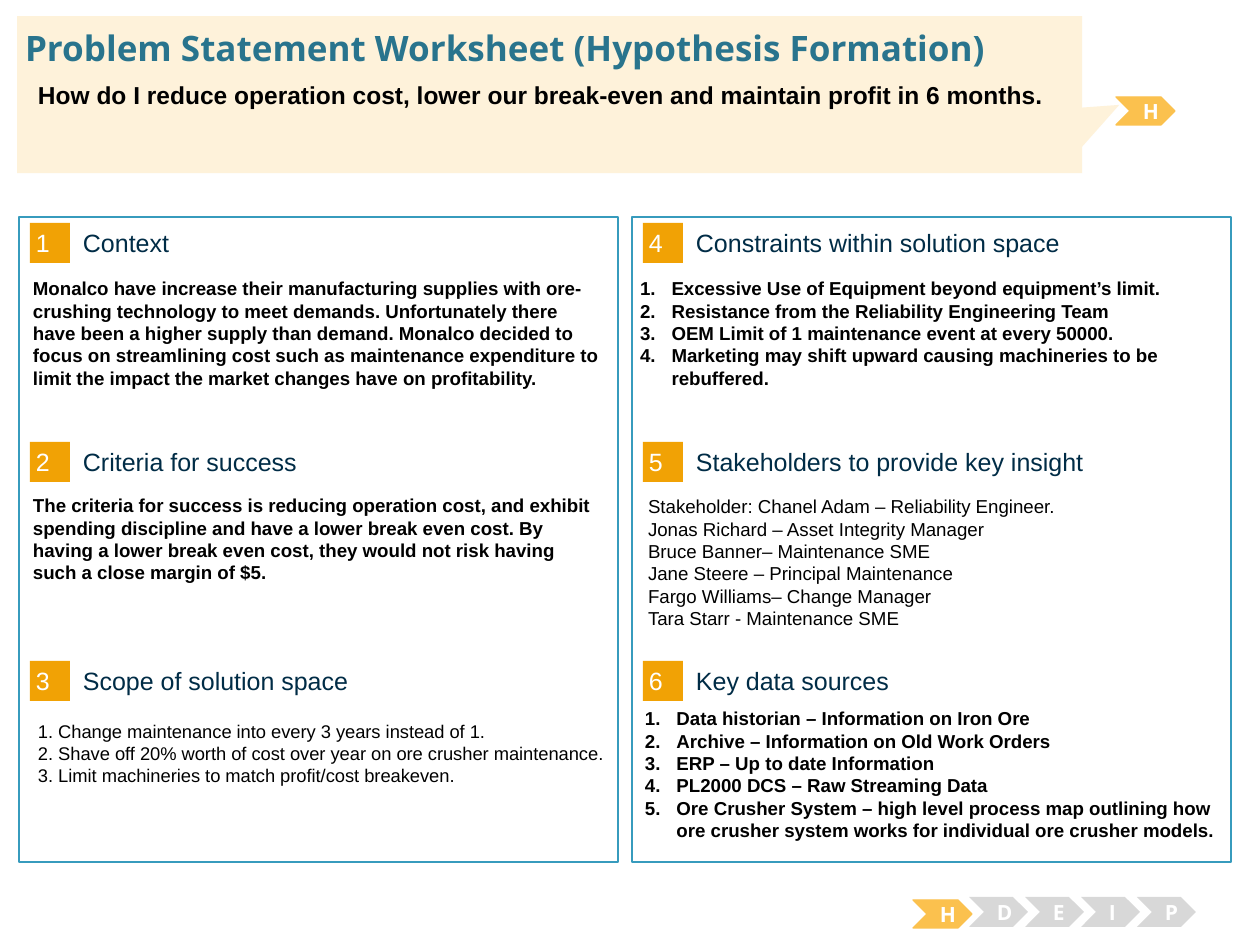
from dataclasses import dataclass

from lxml import etree
from pptx import Presentation
from pptx.dml.color import RGBColor
from pptx.enum.shapes import MSO_SHAPE
from pptx.enum.text import MSO_ANCHOR, MSO_AUTO_SIZE, PP_ALIGN
from pptx.oxml.ns import qn
from pptx.util import Emu, Pt

PX_PER_INCH = 126


def px(length):
    """Turn whole pixels into EMU."""
    return Emu(round(length * 914400 / PX_PER_INCH))


@dataclass(frozen=True)
class Theme:
    """Colours, fonts and type sizes of the worksheet."""
    white: str = "FFFFFF"
    black: str = "000000"
    panel_line: str = "379BBD"
    badge: str = "F1A205"
    heading: str = "002C46"
    title: str = "29748D"
    callout: str = "FEF2DA"
    active: str = "FBC14E"
    inactive: str = "D8D8D8"
    body_font: str = "Arial"
    title_font: str = "Open Sans"
    title_size: float = 20
    heading_size: float = 14.3
    question_size: float = 14
    step_size: float = 12
    body_size: float = 10.7
    scope_size: float = 10.5


class Worksheet:
    """Draws the elements of the worksheet on one slide."""

    def __init__(self, slide, theme):
        """Keep the slide and its style."""
        self.slide = slide
        self.theme = theme

    def set_lines(self, shape, lines, size, color, bold=False, font=None,
                  inset=(13, 6), anchor=MSO_ANCHOR.TOP, align=PP_ALIGN.LEFT,
                  numbered=False):
        """Fill a shape with one styled paragraph per line."""
        frame = shape.text_frame
        frame.word_wrap = True
        frame.auto_size = MSO_AUTO_SIZE.NONE
        frame.vertical_anchor = anchor
        frame.margin_left = frame.margin_right = px(inset[0])
        frame.margin_top = frame.margin_bottom = px(inset[1])
        for index, line in enumerate(lines):
            paragraph = frame.add_paragraph() if index else frame.paragraphs[0]
            paragraph.alignment = align
            run = paragraph.add_run()
            run.text = line
            run.font.size = Pt(size)
            run.font.bold = bold
            run.font.name = font or self.theme.body_font
            run.font.color.rgb = RGBColor.from_string(color)
            if numbered:
                self.number(paragraph)

    def number(self, paragraph):
        """Give a paragraph automatic numbering with a hanging indent."""
        props = paragraph._p.get_or_add_pPr()
        props.set("marL", "228600")
        props.set("indent", "-228600")
        etree.SubElement(props, qn("a:buFont"), typeface="+mj-lt")
        etree.SubElement(props, qn("a:buAutoNum"), type="arabicPeriod")

    def shape(self, kind, box, fill, line=None, width=0.75):
        """Add a flat preset shape."""
        shape = self.slide.shapes.add_shape(kind, *map(px, box))
        shape.shadow.inherit = False
        shape.fill.solid()
        shape.fill.fore_color.rgb = RGBColor.from_string(fill)
        if line:
            shape.line.color.rgb = RGBColor.from_string(line)
            shape.line.width = Pt(width)
        else:
            shape.line.fill.background()
        return shape

    def text(self, box, lines, size, color, **style):
        """Add a text box."""
        frame = self.slide.shapes.add_textbox(*map(px, box))
        self.set_lines(frame, lines, size, color, **style)

    def title(self, box, wording):
        """Place the title placeholder in front of what is drawn so far."""
        title = self.slide.shapes.title
        title.left, title.top, title.width, title.height = map(px, box)
        self.set_lines(title, [wording], self.theme.title_size, self.theme.title,
                       bold=True, font=self.theme.title_font, inset=(0, 0))
        title.element.getparent().append(title.element)

    def panel(self, box):
        """Add an outlined column panel."""
        self.shape(MSO_SHAPE.RECTANGLE, box, self.theme.white,
                   self.theme.panel_line, 1.5)

    def heading(self, left, top, number, wording):
        """Add a numbered badge with its section heading."""
        badge = self.shape(MSO_SHAPE.RECTANGLE, (left, top, 40, 40), self.theme.badge)
        self.set_lines(badge, [str(number)], self.theme.heading_size, self.theme.white,
                       inset=(6, 6), anchor=MSO_ANCHOR.MIDDLE)
        self.text((left + 53, top + 4, 495, 31), [wording], self.theme.heading_size,
                  self.theme.heading, inset=(0, 0), anchor=MSO_ANCHOR.MIDDLE)

    def step(self, left, top, letter, active=False):
        """Add a process chevron, highlighted when it is the active step."""
        fill = self.theme.active if active else self.theme.inactive
        chevron = self.shape(MSO_SHAPE.CHEVRON, (left, top, 59, 28 if active else 30),
                             fill, fill if active else None)
        self.set_lines(chevron, [letter], self.theme.step_size, self.theme.white,
                       bold=True, font=self.theme.title_font,
                       anchor=MSO_ANCHOR.MIDDLE, align=PP_ALIGN.CENTER)


THEME = Theme()
BOLD = {"bold": True}
NUMBERED = {"bold": True, "numbered": True}
COLUMN_STEP, ROW_STEP = 613, 219

# Heading, body left, top and height, type size, style, lines
SECTIONS = [
    ("Context", 20, 271, 171, THEME.body_size, BOLD, [
        "Monalco have increase their manufacturing supplies with ore-crushing "
        "technology to meet demands. Unfortunately there have been a higher supply "
        "than demand. Monalco decided to focus on streamlining cost such as "
        "maintenance expenditure to limit the impact the market changes have on "
        "profitability."]),
    ("Criteria for success", 20, 488, 171, THEME.body_size, BOLD, [
        "The criteria for success is reducing operation cost, and exhibit spending "
        "discipline and have a lower break even cost. By having a lower break even "
        "cost, they would not risk having such a close margin of $5."]),
    ("Scope of solution space", 25, 714, 103, THEME.scope_size, {}, [
        "1. Change maintenance into every 3 years instead of 1.",
        "2. Shave off 20% worth of cost over year on ore crusher maintenance.",
        "3. Limit machineries to match profit/cost breakeven."]),
    ("Constraints within solution space", 627, 271, 149, THEME.body_size, NUMBERED, [
        "Excessive Use of Equipment beyond equipment’s limit.",
        "Resistance from the Reliability Engineering Team",
        "OEM Limit of 1 maintenance event at every 50000.",
        "Marketing may shift upward causing machineries to be rebuffered."]),
    ("Stakeholders to provide key insight", 635, 489, 149, THEME.body_size, {}, [
        "Stakeholder: Chanel Adam – Reliability Engineer.",
        "Jonas Richard – Asset Integrity Manager",
        "Bruce Banner– Maintenance SME",
        "Jane Steere – Principal Maintenance",
        "Fargo Williams– Change Manager",
        "Tara Starr - Maintenance SME"]),
    ("Key data sources", 632, 701, 149, THEME.body_size, NUMBERED, [
        "Data historian – Information on Iron Ore",
        "Archive – Information on Old Work Orders",
        "ERP – Up to date Information",
        "PL2000 DCS – Raw Streaming Data",
        "Ore Crusher System – high level process map outlining how ore crusher "
        "system works for individual ore crusher models."]),
]


def build():
    """Build and save the problem statement worksheet."""
    deck = Presentation()
    deck.slide_width, deck.slide_height = px(1260), px(945)
    sheet = Worksheet(deck.slides.add_slide(deck.slide_layouts[5]), THEME)

    for column in range(2):
        sheet.panel((19 + column * COLUMN_STEP, 217, 599, 645))
    for index, (heading, left, top, height, size, style, lines) in enumerate(SECTIONS):
        column, row = divmod(index, 3)
        sheet.heading(30 + column * COLUMN_STEP, 223 + row * ROW_STEP,
                      index + 1, heading)
        sheet.text((left, top, 596, height), lines, size, THEME.black, **style)

    for index, letter in enumerate("HDEIP"):
        active = index == 0
        sheet.step(913 + index * 56, 900 if active else 897, letter, active)
    sheet.step(1116, 97, "H", active=True)

    callout = sheet.shape(MSO_SHAPE.RECTANGULAR_CALLOUT, (17, 16, 1065, 157),
                          THEME.callout)
    callout.adjustments[0], callout.adjustments[1] = 0.535, 0.066
    sheet.title((25, 26, 1212, 43), "Problem Statement Worksheet (Hypothesis Formation)")
    sheet.text((25, 74, 1183, 68),
               ["How do I reduce operation cost, lower our break-even and maintain "
                "profit in 6 months."], THEME.question_size, THEME.black, bold=True)
    deck.save("out.pptx")


build()
